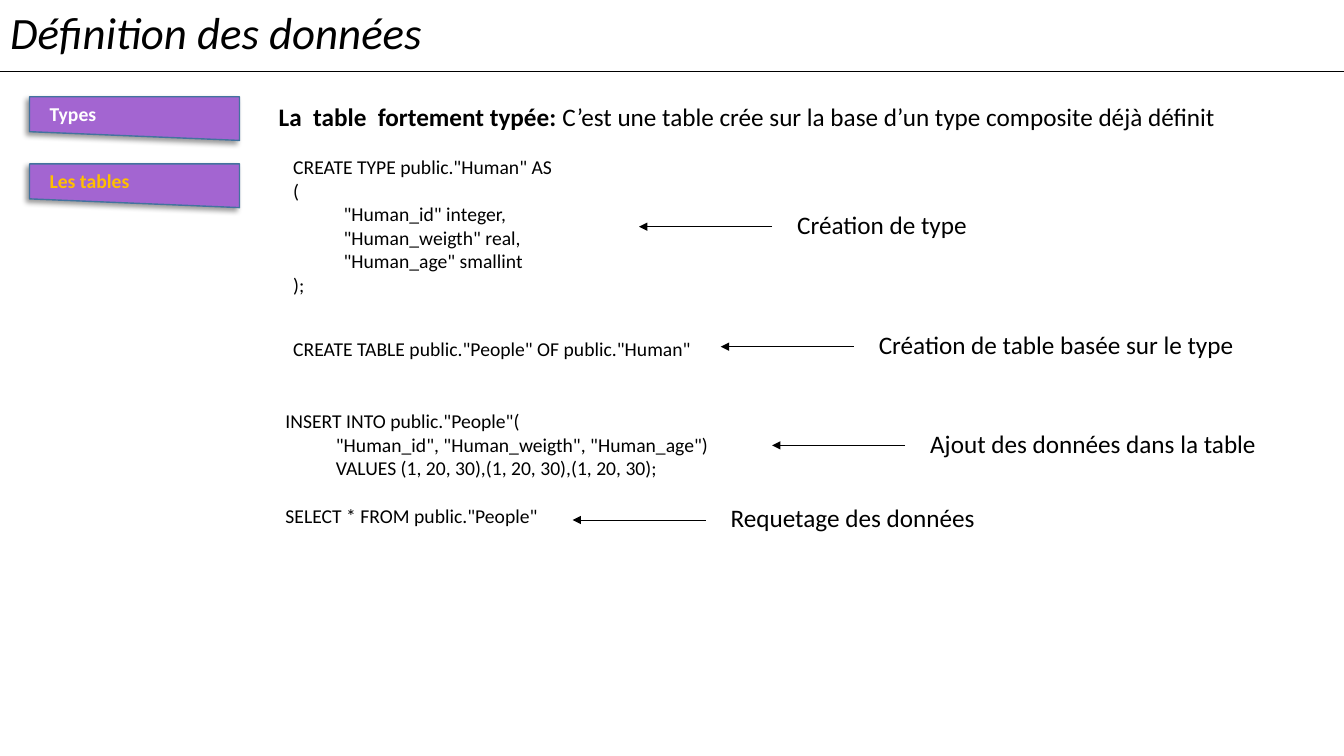
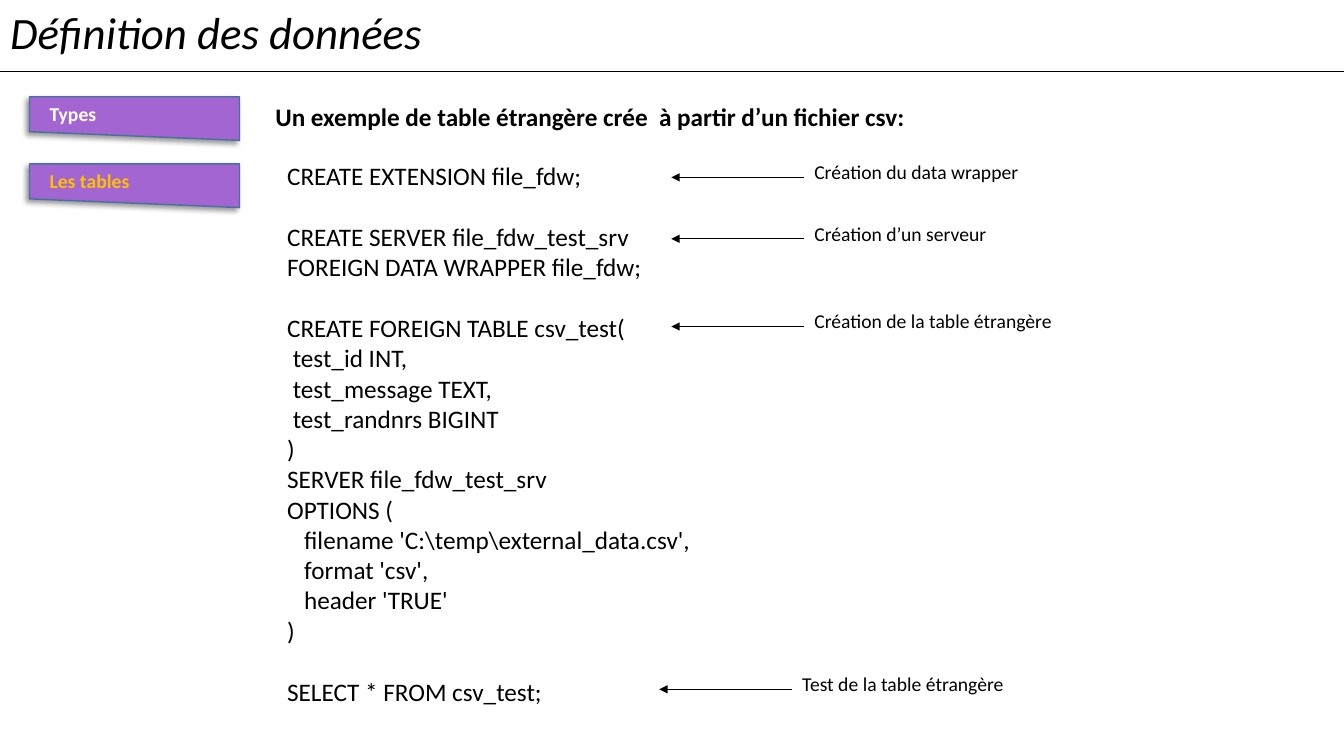
from dataclasses import dataclass

from lxml.etree import SubElement
from pptx import Presentation
from pptx.dml.color import RGBColor
from pptx.enum.shapes import MSO_CONNECTOR as Connector, MSO_SHAPE as Preset
from pptx.enum.text import MSO_ANCHOR as Anchor, MSO_AUTO_SIZE as AutoSize, PP_ALIGN as Align
from pptx.oxml.ns import qn
from pptx.util import Inches, Pt

# Grid of square cells, 40 columns by 22.5 rows
WIDTH, HEIGHT = 13.33, 7.5
COLUMNS = 40
CELL = WIDTH / COLUMNS

FONT = "Calibri"
LINE_HEIGHT = 1.22
COLOURS = {
    "text": "000000",
    "band": "A365D1",
    "band_line": "43739E",
    "tag": "FFFFFF",
    "active_tag": "FFC000",
}
STYLES = {
    "title": {"size": Pt(32), "italic": True, "bold": False},
    "heading": {"size": Pt(18), "bold": True},
    "body": {"size": Pt(18), "bold": False},
    "small": {"size": Pt(14)},
    "tag": {"size": Pt(14), "bold": True},
}


@dataclass
class Box:
    """A rectangle in grid cells."""
    left: float
    top: float
    width: float
    height: float

    def inner(self, left, top, width, height):
        return Box(self.left + left, self.top + top, width, height)

    def lengths(self):
        return [cells(n) for n in (self.left, self.top, self.width, self.height)]


TITLE = Box(0, 0, 13, 1.92)
SIDEBAR = Box(0.88, 2.88, 6.25, 3.3)
CONTENT = Box(7.9, 2.88, 31, 19)
RULE_ROW = 2.13
TAG_HEIGHT, TAG_STEP = 1.3, 2
ARROW_LENGTH, ARROW_DROP = 3.96, 0.66
LINE_ROWS = {"body": 1.2, "small": 1.02}


def cells(count):
    return Inches(count * CELL)


def colour(name):
    return RGBColor.from_string(COLOURS[name])


# Text
def add_run(paragraph, text, style, colour_name="text"):
    run = paragraph.add_run()
    run.text = text
    for name, value in {"name": FONT, **STYLES[style]}.items():
        setattr(run.font, name, value)
    run.font.color.rgb = colour(colour_name)


def add_text(slide, box, runs, wrap=False):
    frame = slide.shapes.add_textbox(*box.lengths()).text_frame
    frame.word_wrap = wrap
    frame.auto_size = AutoSize.SHAPE_TO_FIT_TEXT
    for run in runs:
        add_run(frame.paragraphs[0], *run)
    return frame


def add_code(slide, box, code, style):
    """Write code lines; a blank line becomes space before the next line."""
    frame = add_text(slide, box, [], wrap=True)
    paragraph = frame.paragraphs[0]
    gap = Pt(round(STYLES[style]["size"].pt * LINE_HEIGHT))
    for block_index, block in enumerate(code.split("\n\n")):
        for line_index, line in enumerate(block.split("\n")):
            if block_index or line_index:
                paragraph = frame.add_paragraph()
            if block_index and not line_index:
                paragraph.space_before = gap
            add_run(paragraph, line, style)


# Lines and arrows
def add_line(slide, start, end, width, arrow=False):
    points = [cells(n) for n in (*start, *end)]
    connector = slide.shapes.add_connector(Connector.STRAIGHT, *points)
    connector.line.color.rgb = colour("text")
    connector.line.width = Pt(width)
    if arrow:
        SubElement(connector.line._get_or_add_ln(), qn("a:tailEnd"), type="triangle")
    SubElement(connector._element.spPr, qn("a:effectLst"))


def add_callout(slide, box, tip, text, width, style, gap):
    """Arrow pointing left at the code, with its label on the right."""
    column, row = box.left + tip[0], box.top + tip[1]
    end = column + ARROW_LENGTH
    add_line(slide, (end, row), (column, row), 0.5, arrow=True)
    label = Box(end + gap, row - ARROW_DROP, width, LINE_ROWS[style])
    add_text(slide, label, [(text, style)])


# Title with its rule
def add_title(slide, box):
    title = slide.shapes.title
    for name, value in zip(("left", "top", "width", "height"), box.lengths()):
        setattr(title, name, value)
    frame = title.text_frame
    settings = {"word_wrap": False, "auto_size": AutoSize.NONE, "vertical_anchor": Anchor.TOP}
    for name, value in settings.items():
        setattr(frame, name, value)
    frame.paragraphs[0].alignment = Align.LEFT
    add_run(frame.paragraphs[0], "Définition des données", "title")
    add_line(slide, (0, RULE_ROW), (COLUMNS, RULE_ROW), 1)


# Sidebar of slanted tags
def add_band(slide, box):
    band = slide.shapes.add_shape(Preset.FLOWCHART_MANUAL_INPUT, *box.lengths())
    band.rotation = 180
    band._element.spPr.xfrm.set("flipH", "1")
    band.fill.solid()
    band.fill.fore_color.rgb = colour("band")
    band.line.color.rgb = colour("band_line")
    band.line.width = Pt(1)
    effects = SubElement(band._element.spPr, qn("a:effectLst"))
    shadow = SubElement(effects, qn("a:outerShdw"), blurRad=str(Pt(4)), dist=str(Pt(3)),
                        dir=str(135 * 60000), algn="tr", rotWithShape="0")
    tint = SubElement(shadow, qn("a:srgbClr"), val=COLOURS["text"])
    SubElement(tint, qn("a:alpha"), val="40000")


def add_sidebar(slide, box):
    tags = [("Types", 2.13, "tag"), ("Les tables", 3.12, "active_tag")]
    for index, (text, width, colour_name) in enumerate(tags):
        top = index * TAG_STEP
        add_band(slide, box.inner(0, top, box.width, TAG_HEIGHT))
        add_text(slide, box.inner(0.3, top, width, 1.02), [(text, "tag", colour_name)])


# Code slide: heading, code blocks and callouts
def add_code_slide(presentation, box, content):
    slide = presentation.slides.add_slide(presentation.slide_layouts[5])
    add_title(slide, TITLE)
    add_sidebar(slide, SIDEBAR)
    left, width = content["heading_span"]
    add_text(slide, box.inner(left, 0, width, 1.2), content["heading"])
    for area, code in content["code"]:
        add_code(slide, box.inner(*area), code, content["code_style"])
    for tip, text, width in content["callouts"]:
        add_callout(slide, box, tip, text, width, content["label_style"], content["label_gap"])


TYPED_TABLE = {
    "heading_span": (0.1, 28.8),
    "heading": [
        ("La  table  fortement typée: ", "heading"),
        ("C’est une table crée sur la base d’un type composite déjà définit", "body"),
    ],
    "code_style": "small",
    "code": [
        ((0.53, 1.59, 10.08, 4.53), '''CREATE TYPE public."Human" AS
(
\t"Human_id" integer,
\t"Human_weigth" real,
\t"Human_age" smallint
);'''),
        ((0.53, 6.99, 12.54, 1.02), 'CREATE TABLE public."People" OF public."Human"'),
        ((0.3, 9.15, 20, 3.84), '''INSERT INTO public."People"(
\t"Human_id", "Human_weigth", "Human_age")
\tVALUES (1, 20, 30),(1, 20, 30),(1, 20, 30);

SELECT * FROM public."People"'''),
    ],
    "label_style": "body",
    "label_gap": 0.45,
    "callouts": [
        ((11.12, 3.87), "Création de type", 5.91),
        ((13.55, 7.44), "Création de table basée sur le type", 11.64),
        ((15.08, 10.38), "Ajout des données dans la table", 10.41),
        ((9.14, 12.6), "Requetage des données", 7.95),
    ],
}

FOREIGN_TABLE = {
    "heading_span": (0, 19.68),
    "heading": [("Un exemple de table étrangère crée  à partir d’un fichier csv:", "heading")],
    "code_style": "body",
    "code": [
        ((0.35, 1.74, 20, 16.65), r'''CREATE EXTENSION file_fdw;

CREATE SERVER file_fdw_test_srv
FOREIGN DATA WRAPPER file_fdw;

CREATE FOREIGN TABLE csv_test(
 test_id INT,
 test_message TEXT,
 test_randnrs BIGINT
)
SERVER file_fdw_test_srv
OPTIONS (
   filename 'C:\temp\external_data.csv',
   format 'csv',
   header 'TRUE'
)

SELECT * FROM csv_test;'''),
    ],
    "label_style": "small",
    "label_gap": 0,
    "callouts": [
        ((12.08, 2.4), "Création du data wrapper", 6.75),
        ((12.08, 4.23), "Création d’un serveur", 5.79),
        ((12.08, 6.84), "Création de la table étrangère", 7.77),
        ((11.72, 17.64), "Test de la table étrangère", 6.66),
    ],
}


def main():
    presentation = Presentation()
    presentation.slide_width = Inches(WIDTH)
    presentation.slide_height = Inches(HEIGHT)
    for content in (TYPED_TABLE, FOREIGN_TABLE):
        add_code_slide(presentation, CONTENT, content)
    presentation.save("out.pptx")


if __name__ == "__main__":
    main()
